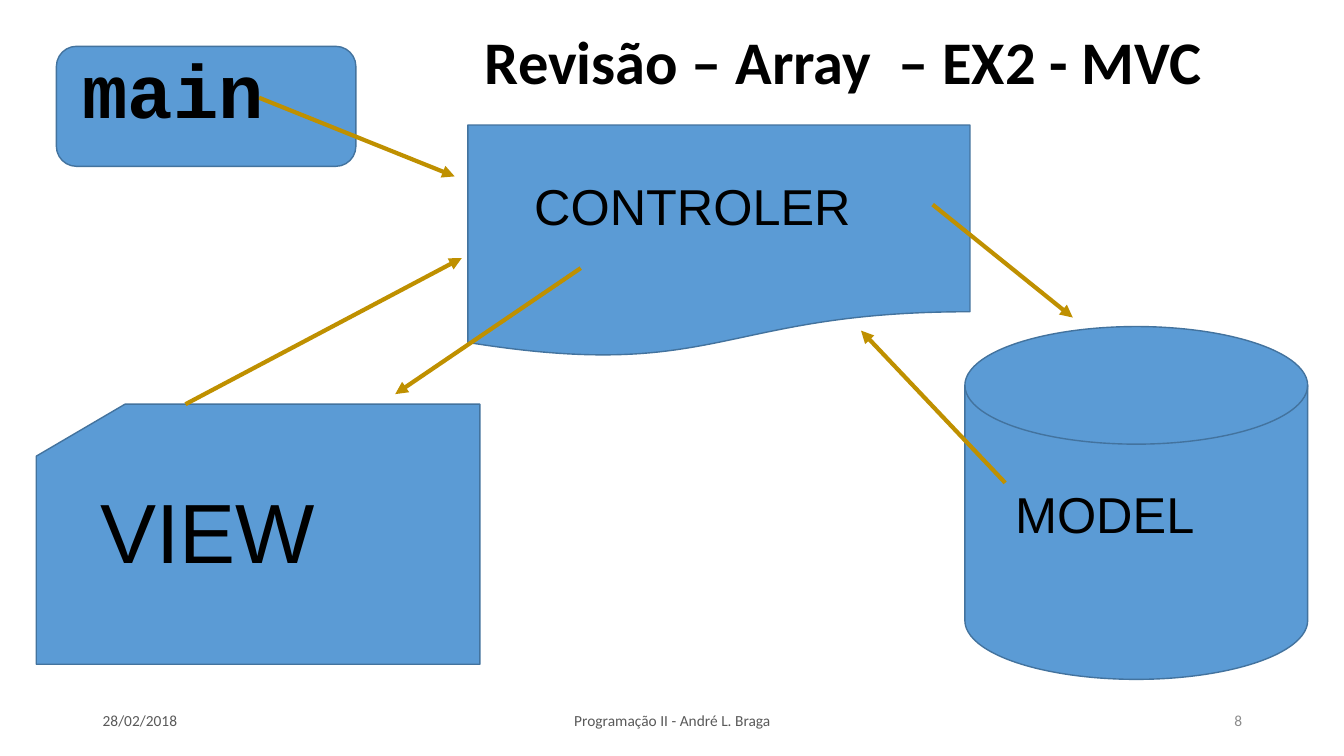
from pptx import Presentation
from pptx.dml.color import RGBColor
from pptx.enum.shapes import MSO_CONNECTOR, MSO_SHAPE
from pptx.enum.text import MSO_ANCHOR, MSO_AUTO_SIZE, PP_ALIGN
from pptx.oxml.ns import qn
from pptx.util import Inches, Pt
from lxml.etree import SubElement

COLOURS = {
    "fill": "5B9BD5",
    "outline": "43739E",
    "arrow": "BF9000",
    "text": "000000",
    "footer": "595959",
    "number": "8C8C8C",
}


class DiagramSlide:
    def __init__(self, presentation):
        self.slide = presentation.slides.add_slide(presentation.slide_layouts[5])

    def colour(self, name):
        return RGBColor.from_string(COLOURS[name])

    def add_words(self, shape, text, size, font="Arial", colour="text", bold=False,
                  align=PP_ALIGN.LEFT, anchor=MSO_ANCHOR.TOP):
        frame = shape.text_frame
        frame.word_wrap = True
        frame.auto_size = MSO_AUTO_SIZE.NONE
        frame.vertical_anchor = anchor
        paragraph = frame.paragraphs[0]
        paragraph.alignment = align
        run = paragraph.add_run()
        run.text = text
        run.font.name = font
        run.font.size = Pt(size)
        run.font.bold = bold
        run.font.color.rgb = self.colour(colour)
        return paragraph

    def title(self, text, left, top, width, height):
        shape = self.slide.shapes.title
        shape.left, shape.top = Inches(left), Inches(top)
        shape.width, shape.height = Inches(width), Inches(height)
        paragraph = self.add_words(shape, text, 43.2, "Calibri", bold=True,
                                   anchor=MSO_ANCHOR.MIDDLE)
        paragraph.line_spacing = 0.9

    def block(self, kind, left, top, width, height):
        shape = self.slide.shapes.add_shape(
            kind, Inches(left), Inches(top), Inches(width), Inches(height))
        shape.shadow.inherit = False
        shape.fill.solid()
        shape.fill.fore_color.rgb = self.colour("fill")
        shape.line.color.rgb = self.colour("outline")
        shape.line.width = Pt(1)

    def text(self, text, left, top, width, height, size, **style):
        shape = self.slide.shapes.add_textbox(
            Inches(left), Inches(top), Inches(width), Inches(height))
        self.add_words(shape, text, size, **style)

    def footer(self, text, left, width, align, colour="footer"):
        self.text(text, left, 6.95, width, 0.4, 11, font="Calibri",
                  colour=colour, align=align, anchor=MSO_ANCHOR.MIDDLE)

    def arrow(self, start_x, start_y, end_x, end_y):
        connector = self.slide.shapes.add_connector(
            MSO_CONNECTOR.STRAIGHT, Inches(start_x), Inches(start_y),
            Inches(end_x), Inches(end_y))
        connector.line.color.rgb = self.colour("arrow")
        connector.line.width = Pt(3)
        SubElement(connector.get_or_add_ln(), qn("a:tailEnd"), type="triangle")
        SubElement(connector.element.spPr, qn("a:effectLst"))


def main():
    presentation = Presentation()
    presentation.slide_width = Inches(13.33)
    presentation.slide_height = Inches(7.5)
    diagram = DiagramSlide(presentation)

    diagram.title("Revisão – Array  – EX2 - MVC", 4.71, 0.13, 7.41, 1.02)

    diagram.block(MSO_SHAPE.FLOWCHART_MAGNETIC_DISK, 9.57, 3.24, 3.4, 3.5)
    diagram.block(MSO_SHAPE.FLOWCHART_CARD, 0.36, 4.01, 4.4, 2.58)
    diagram.block(MSO_SHAPE.FLOWCHART_DOCUMENT, 4.64, 1.24, 4.98, 2.31)
    diagram.block(MSO_SHAPE.FLOWCHART_ALTERNATE_PROCESS, 0.56, 0.46, 2.97, 1.19)

    diagram.footer("28/02/2018", 0.92, 3, PP_ALIGN.LEFT)
    diagram.footer("Programação II - André L. Braga", 4.42, 4.5, PP_ALIGN.CENTER)
    diagram.footer("8", 9.42, 3, PP_ALIGN.RIGHT, "number")

    for ends in (
        (2.57, 0.97, 4.51, 1.75),
        (1.84, 4.01, 4.58, 2.56),
        (9.25, 2.03, 10.64, 3.15),
        (9.97, 4.79, 8.54, 3.28),
        (5.76, 2.66, 3.92, 3.91),
    ):
        diagram.arrow(*ends)

    diagram.text("CONTROLER", 5.2, 1.69, 4.11, 0.71, 36)
    diagram.text("MODEL", 9.97, 4.74, 2.46, 0.71, 36)
    diagram.text("VIEW", 0.9, 4.71, 2.97, 1.11, 60)
    diagram.text("main", 0.72, 0.38, 2.22, 1.01, 54, font="Courier New", bold=True)

    presentation.save("out.pptx")


if __name__ == "__main__":
    main()
